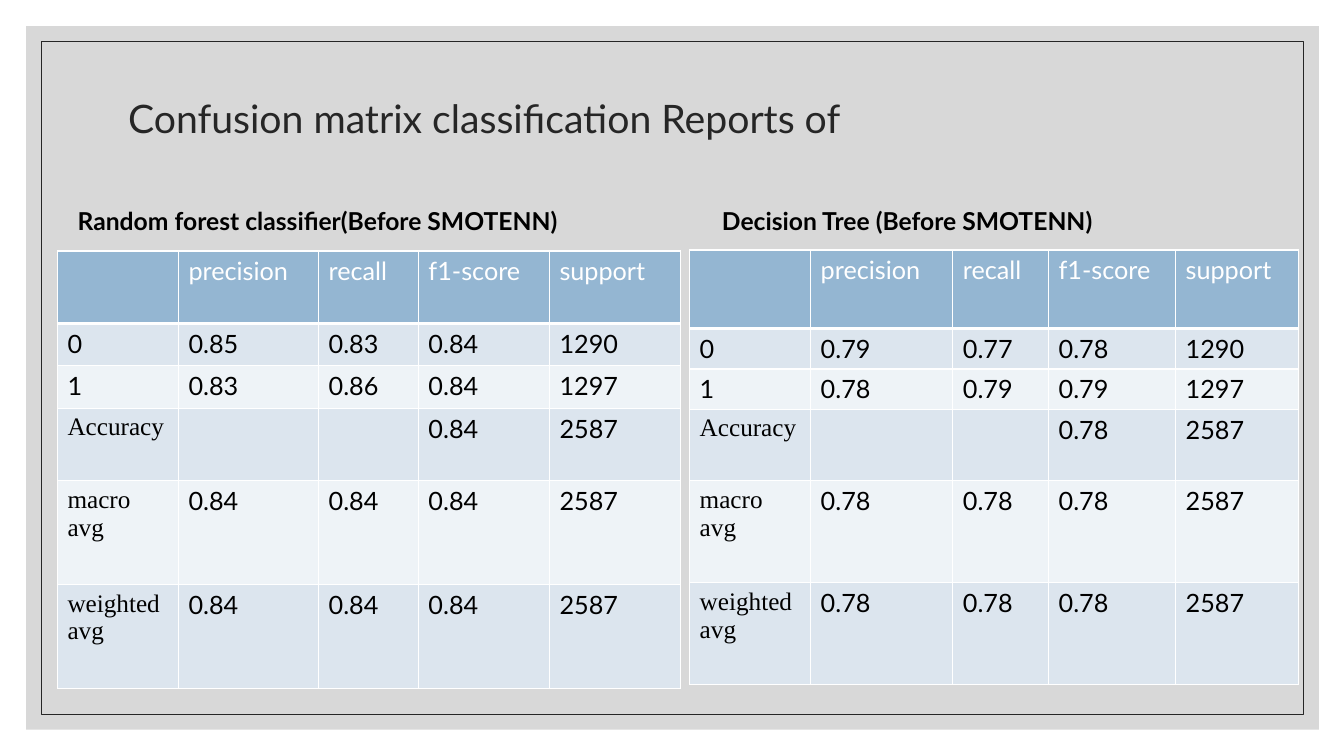
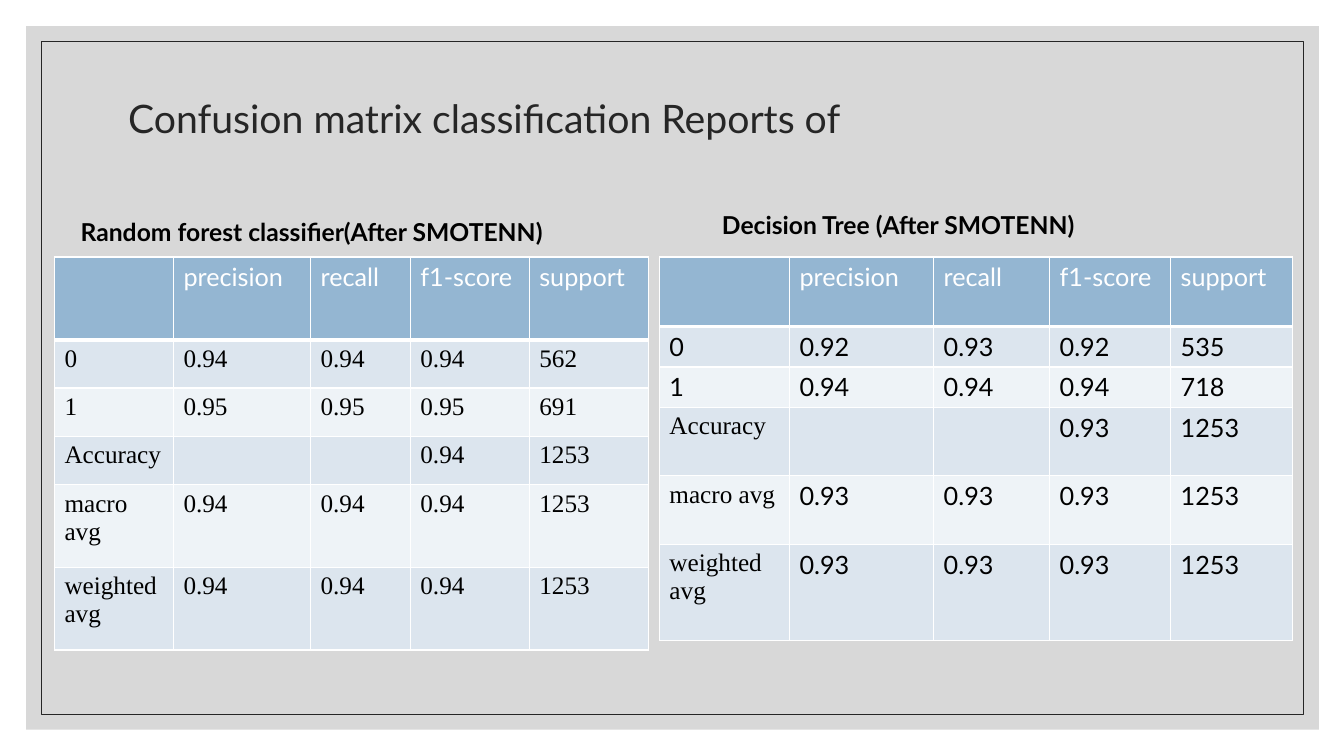
from dataclasses import dataclass

from lxml.etree import SubElement
from pptx import Presentation
from pptx.dml.color import RGBColor as RGB
from pptx.enum.shapes import MSO_SHAPE as Shp
from pptx.enum.text import MSO_ANCHOR as Anchor, MSO_AUTO_SIZE as AutoSize, PP_ALIGN as Align
from pptx.oxml import parse_xml
from pptx.oxml.ns import nsdecls, qn
from pptx.util import Inches, Pt

COLORS = {
    "white": "FFFFFF",
    "black": "000000",
    "panel": "BFBFBF",
    "ink": "262626",
    "header": "94B6D2",
    "odd": "DCE5EE",
    "even": "EEF3F7",
}
SANS, SERIF = "Lato", "Times New Roman"
TITLE = "Confusion matrix classification Reports of"
COLUMNS = ["", "precision", "recall", "f1-score", "support"]
LABELS = ["0", "1", "Accuracy", "macro avg", "weighted avg"]
TITLE_FONT = {"name": SANS, "size": Pt(28), "bold": False}
HEADING_FONT = {"name": SANS, "size": Pt(17.6), "bold": True}


@dataclass
class Report:
    heading: str
    heading_box: tuple[float, float, float, float]
    origin: tuple[float, float]
    widths: list[float]
    heights: list[float]
    scores: list[list[str]]
    font: str = SANS


def rgb(name: str) -> RGB:
    return RGB.from_string(COLORS[name])


def style(r, fmt: dict, color: str) -> None:
    for key, value in fmt.items():
        setattr(r.font, key, value)
    r.font.color.rgb = rgb(color)


def place(sp, box: tuple[float, float, float, float]) -> None:
    for key, value in zip(("left", "top", "width", "height"), box):
        setattr(sp, key, Inches(value))


def fill_placeholder(sp, text: str, box: tuple, fmt: dict, color: str, spacing: float) -> None:
    place(sp, box)
    tf = sp.text_frame
    for key, value in {"word_wrap": True, "auto_size": AutoSize.NONE,
                       "vertical_anchor": Anchor.MIDDLE}.items():
        setattr(tf, key, value)
    p = tf.paragraphs[0]
    for key, value in {"alignment": Align.LEFT, "line_spacing": spacing,
                       "space_before": Pt(0)}.items():
        setattr(p, key, value)
    r = p.add_run()
    r.text = text
    style(r, fmt, color)


def add_frame(s, layout) -> None:
    panel, outline = (
        s.shapes.add_shape(Shp.RECTANGLE, *map(Inches, box))
        for box in ((0.26, 0.26, 12.82, 6.98), (0.41, 0.41, 12.52, 6.68))
    )
    panel.fill.solid()
    panel.fill.fore_color.rgb = rgb("panel")
    panel.line.fill.background()
    color = panel.fill._xPr.find(qn("a:solidFill"))[0]
    SubElement(color, qn("a:alpha"), val="60000")
    outline.fill.background()
    outline.line.color.rgb = rgb("ink")
    outline.line.width = Pt(0.5)
    for i, sp in enumerate((panel, outline)):
        sp.shadow.inherit = False
        sp.element.nvSpPr.cNvPr.id = 100 + i
        layout.shapes.element.insert(2 + i, sp.element)


def set_borders(cell, widths: dict[str, float]) -> None:
    tc_pr = cell._tc.get_or_add_tcPr()
    for i, (side, width) in enumerate(widths.items()):
        tc_pr.insert(i, parse_xml(
            f'<a:ln{side} {nsdecls("a")} w="{Pt(width)}"><a:solidFill>'
            f'<a:srgbClr val="{COLORS["white"]}"/></a:solidFill></a:ln{side}>'))


def add_report(s, heading, report: Report) -> None:
    fill_placeholder(heading, report.heading, report.heading_box, HEADING_FONT, "black", 1.2)
    rows = [COLUMNS] + [[label, *scores] for label, scores in zip(LABELS, report.scores)]
    size = sum(report.widths), sum(report.heights)
    table = s.shapes.add_table(len(rows), len(COLUMNS),
                               *map(Inches, report.origin + size)).table
    table.horz_banding = False
    for col, width in zip(table.columns, report.widths):
        col.width = Inches(width)
    for i, (row, height) in enumerate(zip(rows, report.heights)):
        table.rows[i].height = Inches(height)
        band = "header" if i == 0 else "odd" if i % 2 else "even"
        for j, text in enumerate(row):
            cell = table.cell(i, j)
            cell.fill.solid()
            cell.fill.fore_color.rgb = rgb(band)
            set_borders(cell, {"L": 1, "R": 1, "T": 3 if i == 1 else 1, "B": 3 if i == 0 else 1})
            if text:
                r = cell.text_frame.paragraphs[0].add_run()
                r.text = text
                word_label = j == 0 and text.isalpha() or " " in text
                font = SANS if i == 0 else SERIF if word_label else report.font
                style(r, {"name": font, "size": Pt(18), "bold": False},
                      "black" if i else "white")


def average_rows(accuracy: str, support: str) -> list[list[str]]:
    return [["", "", accuracy, support]] + [[accuracy] * 3 + [support]] * 2


SLIDES = [
    [
        Report("Random forest classifier(Before SMOTENN)", (0.67, 1.81, 5.9, 0.7), (0.57, 2.49),
               [1.2, 1.39, 0.99, 1.3, 1.3], [0.72, 0.42, 0.42, 0.72, 1.03, 1.03],
               [["0.85", "0.83", "0.84", "1290"], ["0.83", "0.86", "0.84", "1297"],
                *average_rows("0.84", "2587")]),
        Report("Decision Tree (Before SMOTENN)", (7.06, 1.81, 5.1, 0.7), (6.84, 2.48),
               [1.2, 1.41, 0.95, 1.26, 1.22], [0.78, 0.4, 0.4, 0.71, 1.01, 1.01],
               [["0.79", "0.77", "0.78", "1290"], ["0.78", "0.79", "0.79", "1297"],
                *average_rows("0.78", "2587")]),
    ],
    [
        Report("Random forest classifier(After SMOTENN)", (0.7, 1.92, 5.56, 0.7), (0.54, 2.55),
               [1.18, 1.36, 0.99, 1.18, 1.18], [0.82, 0.48, 0.48, 0.48, 0.82, 0.82],
               [["0.94", "0.94", "0.94", "562"], ["0.95", "0.95", "0.95", "691"],
                *average_rows("0.94", "1253")], SERIF),
        Report("Decision Tree (After SMOTENN)", (7.06, 1.85, 5.1, 0.7), (6.54, 2.55),
               [1.29, 1.43, 1.15, 1.2, 1.21], [0.69, 0.4, 0.4, 0.68, 0.68, 0.95],
               [["0.92", "0.93", "0.92", "535"], ["0.94", "0.94", "0.94", "718"],
                *average_rows("0.93", "1253")]),
    ],
]


def main() -> None:
    prs = Presentation()
    prs.slide_width, prs.slide_height = Inches(13.33), Inches(7.5)
    layout = prs.slide_layouts.get_by_name("Comparison")
    for n, reports in enumerate(SLIDES):
        s = prs.slides.add_slide(layout)
        if n == 0:
            add_frame(s, layout)
        title, left, left_content, right, right_content = s.placeholders
        for unused in (left_content, right_content):
            unused.element.getparent().remove(unused.element)
        fill_placeholder(title, TITLE, (1.17, 0.7, 11, 1), TITLE_FONT, "ink", 0.9)
        for heading, report in zip((left, right), reports):
            add_report(s, heading, report)
    prs.save("out.pptx")


if __name__ == "__main__":
    main()
